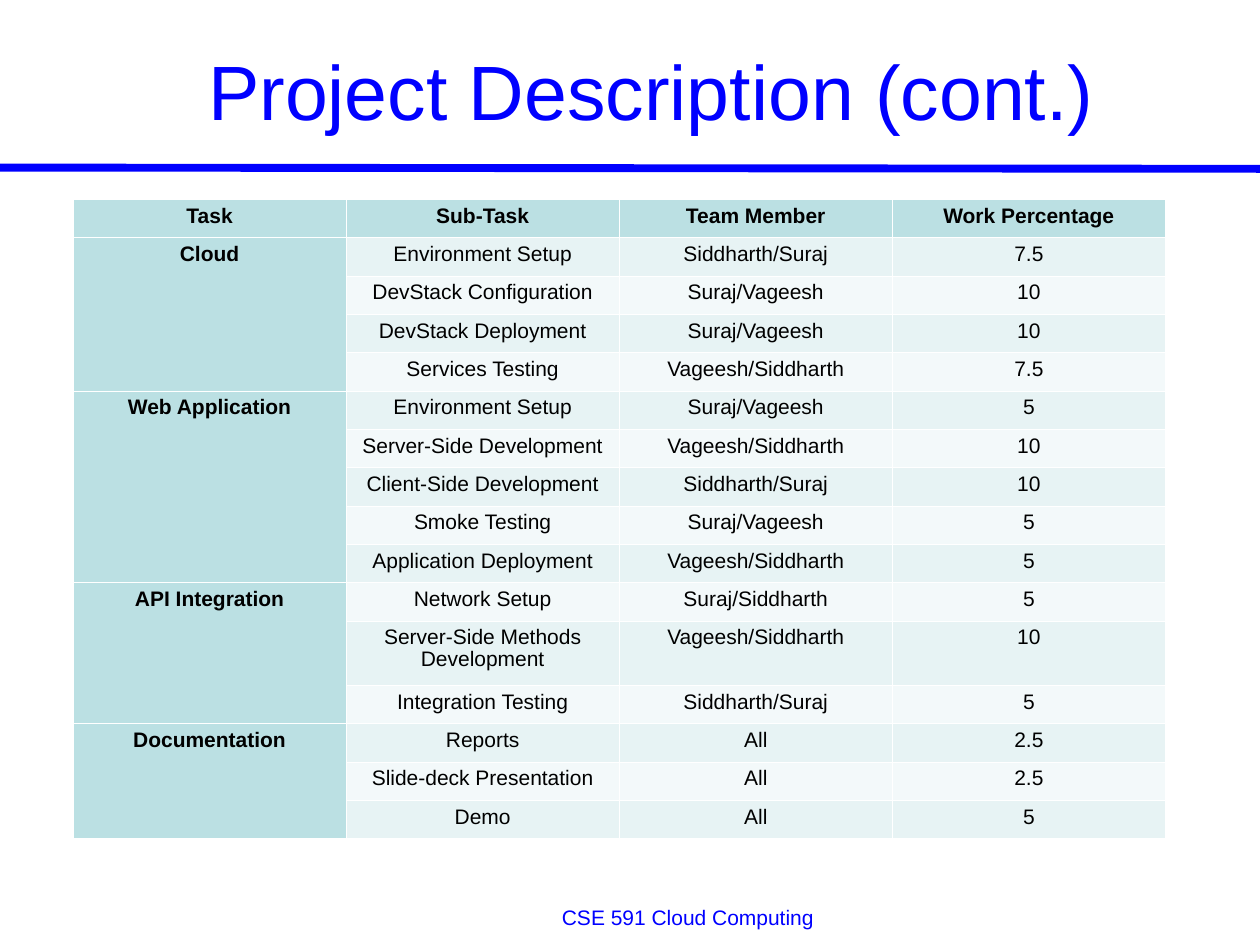
from pptx import Presentation
from pptx.dml.color import RGBColor
from pptx.enum.shapes import MSO_CONNECTOR
from pptx.enum.text import MSO_ANCHOR, MSO_AUTO_SIZE, PP_ALIGN
from pptx.oxml.ns import qn
from pptx.util import Inches, Pt
from lxml import etree

STRAIGHT = MSO_CONNECTOR.STRAIGHT
CENTER = PP_ALIGN.CENTER
TOP, MIDDLE = MSO_ANCHOR.TOP, MSO_ANCHOR.MIDDLE
GROW = MSO_AUTO_SIZE.SHAPE_TO_FIT_TEXT

COLORS = {
    "accent": "0000FF",
    "text": "000000",
    "border": "FFFFFF",
    "heading": "BBE0E3",
    "odd": "E7F3F4",
    "even": "F3F9FA",
}

HEADERS = ("Task", "Sub-Task", "Team Member", "Work Percentage")
TASKS = {
    "Cloud": [
        ("Environment Setup", "Siddharth/Suraj", "7.5"),
        ("DevStack Configuration", "Suraj/Vageesh", "10"),
        ("DevStack Deployment", "Suraj/Vageesh", "10"),
        ("Services Testing", "Vageesh/Siddharth", "7.5"),
    ],
    "Web Application": [
        ("Environment Setup", "Suraj/Vageesh", "5"),
        ("Server-Side Development", "Vageesh/Siddharth", "10"),
        ("Client-Side Development", "Siddharth/Suraj", "10"),
        ("Smoke Testing", "Suraj/Vageesh", "5"),
        ("Application Deployment", "Vageesh/Siddharth", "5"),
    ],
    "API Integration": [
        ("Network Setup", "Suraj/Siddharth", "5"),
        ("Server-Side Methods Development", "Vageesh/Siddharth", "10"),
        ("Integration Testing", "Siddharth/Suraj", "5"),
    ],
    "Documentation": [
        ("Reports", "All", "2.5"),
        ("Slide-deck Presentation", "All", "2.5"),
        ("Demo", "All", "5"),
    ],
}
TABLE_LEFT, TABLE_TOP, TABLE_WIDTH, TABLE_HEIGHT = 0.58, 1.58, 8.67, 5.08
TALL_ROW, TALL_HEIGHT = 11, 0.51


def color(name):
    return RGBColor.from_string(COLORS[name])


class SlideBuilder:
    font_name = "Arial"

    def __init__(self, slide):
        self.slide = slide

    def style(self, paragraph, size, color_name, bold=False):
        paragraph.alignment = CENTER
        paragraph.font.name = self.font_name
        paragraph.font.size = Pt(size)
        paragraph.font.bold = bold
        paragraph.font.color.rgb = color(color_name)

    def line(self, start, end, width):
        connector = self.slide.shapes.add_connector(
            STRAIGHT, *(Inches(value) for value in start + end))
        connector.line.color.rgb = color("accent")
        connector.line.width = Pt(width)
        etree.SubElement(connector._element.spPr, qn("a:effectLst"))

    def text(self, content, box, size, anchor=TOP):
        shape = self.slide.shapes.add_textbox(*(Inches(value) for value in box))
        frame = shape.text_frame
        frame.word_wrap = True
        frame.vertical_anchor = anchor
        paragraph = frame.paragraphs[0]
        paragraph.text = content
        self.style(paragraph, size, "accent")
        return frame

    def borders(self, cell, widths):
        properties = cell._tc.get_or_add_tcPr()
        for side, width in zip(("lnL", "lnR", "lnT", "lnB"), widths):
            border = etree.SubElement(properties, qn(f"a:{side}"), w=str(Pt(width)))
            fill = etree.SubElement(border, qn("a:solidFill"))
            etree.SubElement(fill, qn("a:srgbClr"), val=COLORS["border"])

    def cell(self, cell, content, row, column):
        top = 0.75 if row == 1 else 0.23
        bottom = 0.75 if row == 0 else 0.23
        self.borders(cell, (0.23, 0.23, top, bottom))
        heading = row == 0 or column == 0
        band = "odd" if row % 2 else "even"
        cell.fill.solid()
        cell.fill.fore_color.rgb = color("heading" if heading else band)
        cell.margin_left = cell.margin_right = Inches(0.04)
        cell.margin_top = cell.margin_bottom = Inches(0.05)
        paragraph = cell.text_frame.paragraphs[0]
        paragraph.text = content
        paragraph.line_spacing = 0.94
        self.style(paragraph, 12, "text", heading)

    def table(self, headers, tasks):
        rows = [headers]
        spans = []
        for task, entries in tasks.items():
            spans.append((len(rows), len(rows) + len(entries) - 1))
            for index, entry in enumerate(entries):
                rows.append(("" if index else task,) + entry)
        table = self.slide.shapes.add_table(
            len(rows), len(headers), Inches(TABLE_LEFT), Inches(TABLE_TOP),
            Inches(TABLE_WIDTH), Inches(TABLE_HEIGHT)).table
        table.first_row = table.horz_banding = False
        row_height = (TABLE_HEIGHT - TALL_HEIGHT) / (len(rows) - 1)
        for row, values in enumerate(rows):
            table.rows[row].height = Inches(TALL_HEIGHT if row == TALL_ROW else row_height)
            for column, value in enumerate(values):
                self.cell(table.cell(row, column), value, row, column)
        for first, last in spans:
            table.cell(first, 0).merge(table.cell(last, 0))


def main():
    presentation = Presentation()
    presentation.slide_width, presentation.slide_height = Inches(10), Inches(7.5)
    builder = SlideBuilder(presentation.slides.add_slide(presentation.slide_layouts[6]))
    builder.line((0, 1.33), (10, 1.34), 4.5)
    footer = builder.text("CSE 591 Cloud Computing", (1.92, 7.17, 7.08, 0.26), 12)
    footer.auto_size = GROW
    footer.paragraphs[0].line_spacing = 0.8
    footer.paragraphs[0].space_after = Pt(1.5)
    builder.text("Project Description (cont.)", (0.67, 0.17, 9, 1.08), 44, MIDDLE)
    builder.table(HEADERS, TASKS)
    presentation.save("out.pptx")


if __name__ == "__main__":
    main()
